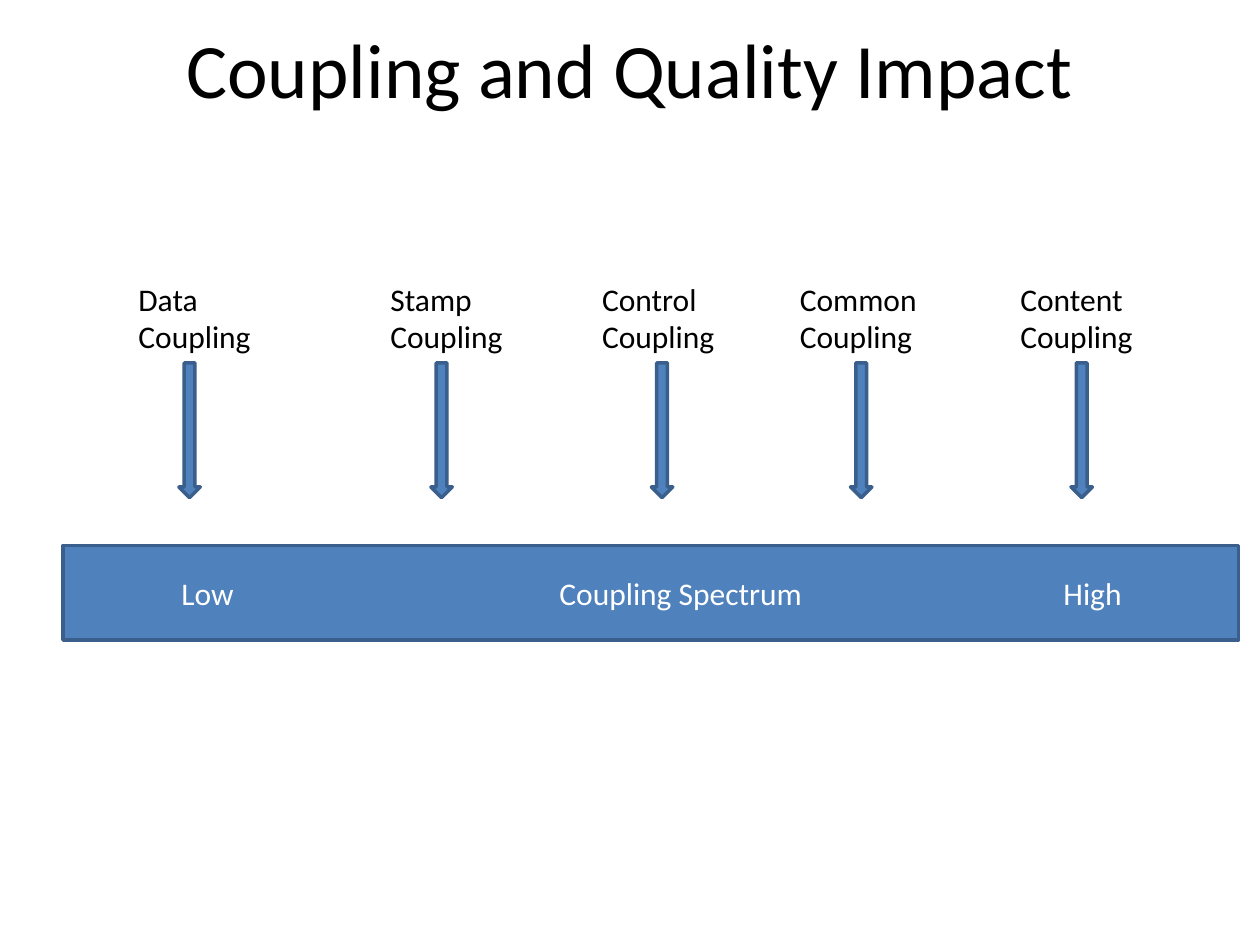
import pptx
import pptx.util
import pptx.dml.color
import pptx.enum.shapes
import pptx.enum.text
import pptx.oxml.ns
import lxml.etree

Inches = pptx.util.Inches
Shape = pptx.enum.shapes.MSO_SHAPE
Align = pptx.enum.text.PP_ALIGN
Anchor = pptx.enum.text.MSO_ANCHOR


def color(code):
    return pptx.dml.color.RGBColor.from_string(code)


def write(shape, text, size=18, ink="000000", align=Align.LEFT, anchor=Anchor.TOP, tabs=()):
    frame = shape.text_frame
    frame.word_wrap = True
    frame.vertical_anchor = anchor
    para = frame.paragraphs[0]
    para.text = text
    para.alignment = align
    if tabs:
        qn = pptx.oxml.ns.qn
        stops = lxml.etree.SubElement(para._p.get_or_add_pPr(), qn("a:tabLst"))
        for stop in tabs:
            lxml.etree.SubElement(stops, qn("a:tab"), pos=str(stop), algn="l")
    para.font.name = "Calibri"
    para.font.size = pptx.util.Pt(size)
    para.font.color.rgb = color(ink)


def block(slide, kind, left, top, width, height):
    shape = slide.shapes.add_shape(kind, left, top, width, height)
    shape.shadow.inherit = False
    shape.fill.solid()
    shape.fill.fore_color.rgb = color("4F81BD")
    shape.line.color.rgb = color("3A5F8C")
    shape.line.width = pptx.util.Pt(2)
    return shape


def title(slide, left, top, width, height):
    box = slide.shapes.add_textbox(left, top, width, height)
    write(box, "Coupling and Quality Impact", size=44, align=Align.CENTER, anchor=Anchor.MIDDLE)


def spectrum(slide, left, top, width, height):
    bar = block(slide, Shape.RECTANGLE, left, top, width, height)
    bar.text_frame.margin_left = Inches(0.94)
    write(bar, "Low\tCoupling Spectrum\tHigh", ink="FFFFFF", anchor=Anchor.MIDDLE,
          tabs=(Inches(3), Inches(7)))


def level(slide, name, shift, left, top, width, height):
    label = slide.shapes.add_textbox(left, top, width, Inches(0.71))
    write(label, f"{name} Coupling")
    drop = Inches(1.07)
    block(slide, Shape.DOWN_ARROW, left + shift, top + height - drop, Inches(0.17), drop)


def main():
    deck = pptx.Presentation()
    deck.slide_width, deck.slide_height = Inches(10), Inches(7.5)
    slide = deck.slides.add_slide(deck.slide_layouts[6])
    title(slide, Inches(0.5), Inches(0.08), Inches(9), Inches(0.92))
    spectrum(slide, Inches(0.5), Inches(4.33), Inches(9.33), Inches(0.75))
    levels = [
        ("Data", 1, 0.42, 1.42),
        ("Stamp", 3, 0.42, 1.17),
        ("Control", 4.68, 0.49, 1.17),
        ("Common", 6.25, 0.5, 1.17),
        ("Content", 8, 0.5, 1.17),
    ]
    for name, left, shift, width in levels:
        level(slide, name, Inches(shift), Inches(left), Inches(2.17), Inches(width), Inches(1.78))
    deck.save("out.pptx")


if __name__ == "__main__":
    main()
